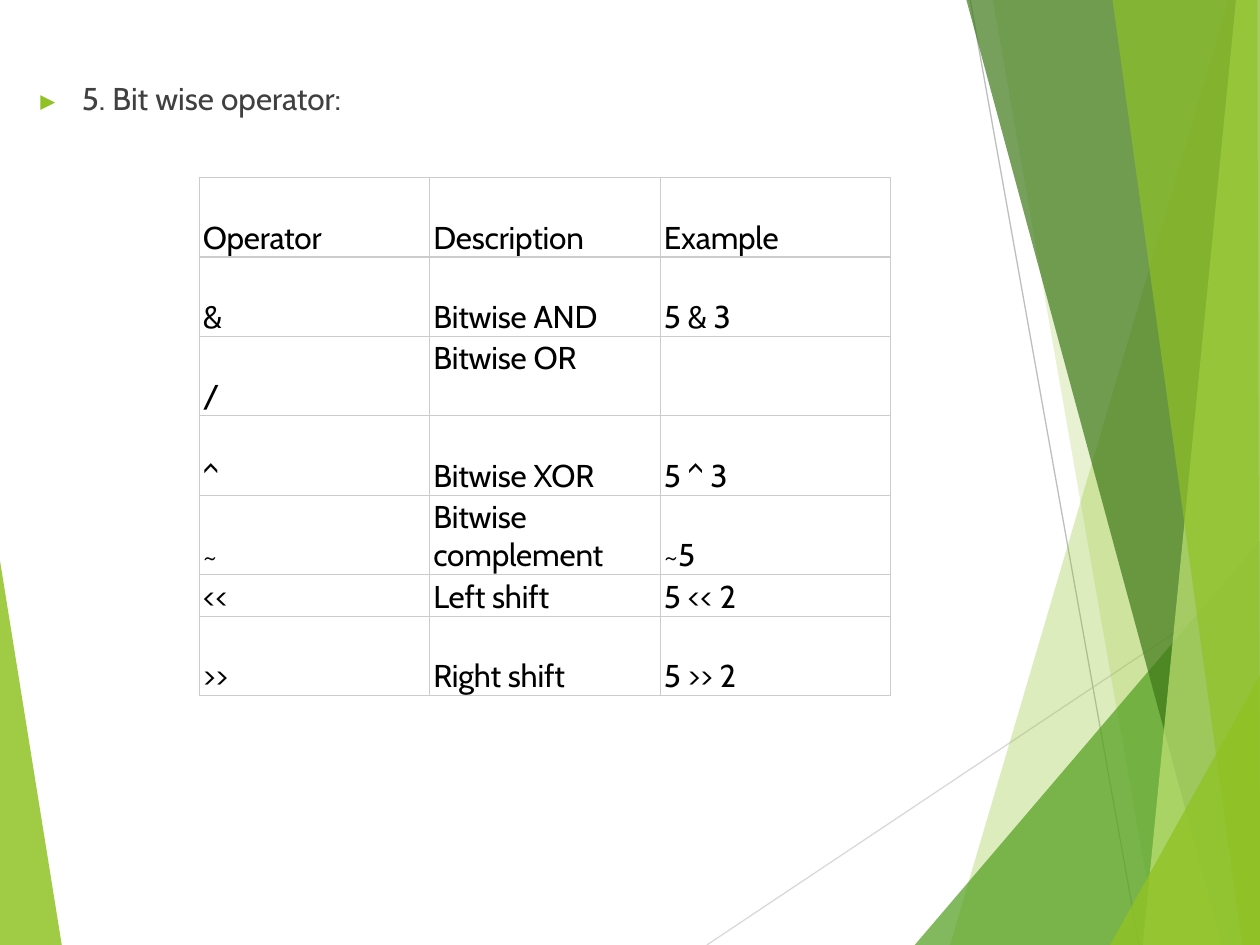
from dataclasses import dataclass

import pptx
import pptx.dml.color
import pptx.enum.text
import pptx.oxml.ns
import pptx.util
from lxml import etree

Inches = pptx.util.Inches
Pt = pptx.util.Pt
RGB = pptx.dml.color.RGBColor
Anchor = pptx.enum.text.MSO_ANCHOR
qn = pptx.oxml.ns.qn

LIME = RGB(0x90, 0xC2, 0x25)
PALE = RGB(0xC0, 0xE3, 0x74)
GREEN = RGB(0x53, 0x9F, 0x20)
DARK = RGB(0x3E, 0x78, 0x18)
GREY = RGB(0x40, 0x40, 0x40)
BLACK = RGB(0, 0, 0)
RULE = RGB(0xCC, 0xCC, 0xCC)
SILVER = RGB(0xD9, 0xD9, 0xD9)
ASH = RGB(0xBE, 0xBE, 0xBE)


@dataclass
class Facet:
    points: list[tuple[float, float]]
    color: RGB
    alpha: int


@dataclass
class Ray:
    start: tuple[float, float]
    end: tuple[float, float]
    color: RGB


WEDGE = Facet([(0, 4.45), (0, 7.5), (0.49, 7.5)], LIME, 85)
RAYS = [
    Ray((5.61, 7.5), (10, 4.57), SILVER),
    Ray((7.7, 0), (9.04, 7.5), ASH),
]
FACETS = [
    Facet([(9.75, 0), (7.54, 7.5), (10, 7.5), (10, 0)], LIME, 30),
    Facet([(10, 0), (7.88, 0), (9.19, 7.5), (10, 7.5)], LIME, 20),
    Facet([(10, 4.29), (7.26, 7.5), (10, 7.5)], GREEN, 72),
    Facet([(10, 0), (7.67, 0), (9.7, 7.5), (10, 7.5)], DARK, 70),
    Facet([(10, 0), (9.81, 0), (9.07, 7.5), (10, 7.5)], PALE, 70),
    Facet([(9.98, 0), (8.83, 0), (9.86, 7.5), (10, 7.5), (10, 6.78),
           (9.98, 0.44)], LIME, 65),
    Facet([(10, 5.36), (8.81, 7.5), (10, 7.5)], LIME, 80),
]

ROWS = [
    ("Operator", "Description", "Example"),
    ("&", "Bitwise AND", "5 & 3"),
    ("/", "Bitwise OR", ""),
    ("^", "Bitwise XOR", "5 ^ 3"),
    ("~", "Bitwise complement", "~5"),
    ("<<", "Left shift", "5 << 2"),
    (">>", "Right shift", "5 >> 2"),
]
TALL, SHORT, WIDE = 0.63, 0.33, 1.83


def add_facet(shapes, facet: Facet) -> None:
    points = [(Inches(x), Inches(y)) for x, y in facet.points]
    path = shapes.build_freeform(*points[0])
    path.add_line_segments(points[1:], close=True)
    shape = path.convert_to_shape()
    shape.shadow.inherit = False
    shape.line.fill.background()
    shape.fill.solid()
    shape.fill.fore_color.rgb = facet.color
    color = shape._element.spPr.find(".//" + qn("a:srgbClr"))
    etree.SubElement(color, qn("a:alpha"), val=str(facet.alpha * 1000))


def add_ray(shapes, ray: Ray) -> None:
    ends = [Inches(v) for v in (*ray.start, *ray.end)]
    line = shapes.add_connector(pptx.enum.shapes.MSO_CONNECTOR.STRAIGHT, *ends)
    line.line.color.rgb = ray.color
    line.line.width = Pt(0.75)
    etree.SubElement(line._element.spPr, qn("a:effectLst"))


def add_text(para, text: str, *, size: float = 18, font: str = "Cabin",
             color: RGB = BLACK, space: float = 0) -> None:
    run = para.add_run()
    run.text = text
    run.font.size = Pt(size)
    run.font.name = font
    run.font.color.rgb = color
    run._r.get_or_add_rPr().set("spc", str(round(space * 100)))


def add_edges(cell) -> None:
    props = cell._tc.get_or_add_tcPr()
    for side in ("lnL", "lnR", "lnT", "lnB"):
        edge = etree.SubElement(props, qn("a:" + side), w=str(Pt(0.75)))
        fill = etree.SubElement(edge, qn("a:solidFill"))
        etree.SubElement(fill, qn("a:srgbClr"), val=str(RULE))


def fill_cell(cell, text: str) -> None:
    add_edges(cell)
    cell.fill.background()
    cell.margin_left = Inches(0.03)
    cell.margin_right = cell.margin_bottom = 0
    cell.margin_top = Inches(0.02)
    top = text == "Bitwise OR"
    cell.vertical_anchor = Anchor.TOP if top else Anchor.BOTTOM
    if text:
        add_text(cell.text_frame.paragraphs[0], text, space=-0.1)


def add_title(title) -> None:
    title.left, title.top = Inches(0.25), Inches(0.61)
    title.width, title.height = Inches(2.71), Inches(0.33)
    frame = title.text_frame
    frame.auto_size = pptx.enum.text.MSO_AUTO_SIZE.NONE
    frame.vertical_anchor = Anchor.TOP
    frame.margin_left = frame.margin_right = frame.margin_bottom = 0
    frame.margin_top = Inches(0.02)
    para = frame.paragraphs[0]
    para.alignment = pptx.enum.text.PP_ALIGN.LEFT
    props = para._p.get_or_add_pPr()
    props.set("marL", str(Inches(0.01)))
    tabs = etree.SubElement(props, qn("a:tabLst"))
    etree.SubElement(tabs, qn("a:tab"), pos=str(Inches(0.39)), algn="l")
    add_text(para, "▶\t", size=14.5, font="Noto Sans Mono", color=LIME,
             space=0.7)
    add_text(para, "5. Bit wise operator:", color=GREY)


def add_grid(shapes) -> None:
    heights = [SHORT if row[0] == "<<" else TALL for row in ROWS]
    frame = shapes.add_table(len(ROWS), 3, Inches(1.58), Inches(1.41),
                             Inches(3 * WIDE), Inches(sum(heights)))
    table = frame.table
    table.first_row = table.horz_banding = False
    for col in table.columns:
        col.width = Inches(WIDE)
    for row, height, texts in zip(table.rows, heights, ROWS):
        row.height = Inches(height)
        for cell, text in zip(row.cells, texts):
            fill_cell(cell, text)


def main() -> None:
    deck = pptx.Presentation()
    deck.slide_width, deck.slide_height = Inches(10), Inches(7.5)
    slide = deck.slides.add_slide(deck.slide_layouts[5])
    shapes = slide.shapes

    # Backdrop: left wedge, thin rays, right facets
    add_facet(shapes, WEDGE)
    for ray in RAYS:
        add_ray(shapes, ray)
    for facet in FACETS:
        add_facet(shapes, facet)

    # Heading and operator table
    add_title(shapes.title)
    add_grid(shapes)
    deck.save("out.pptx")


if __name__ == "__main__":
    main()
